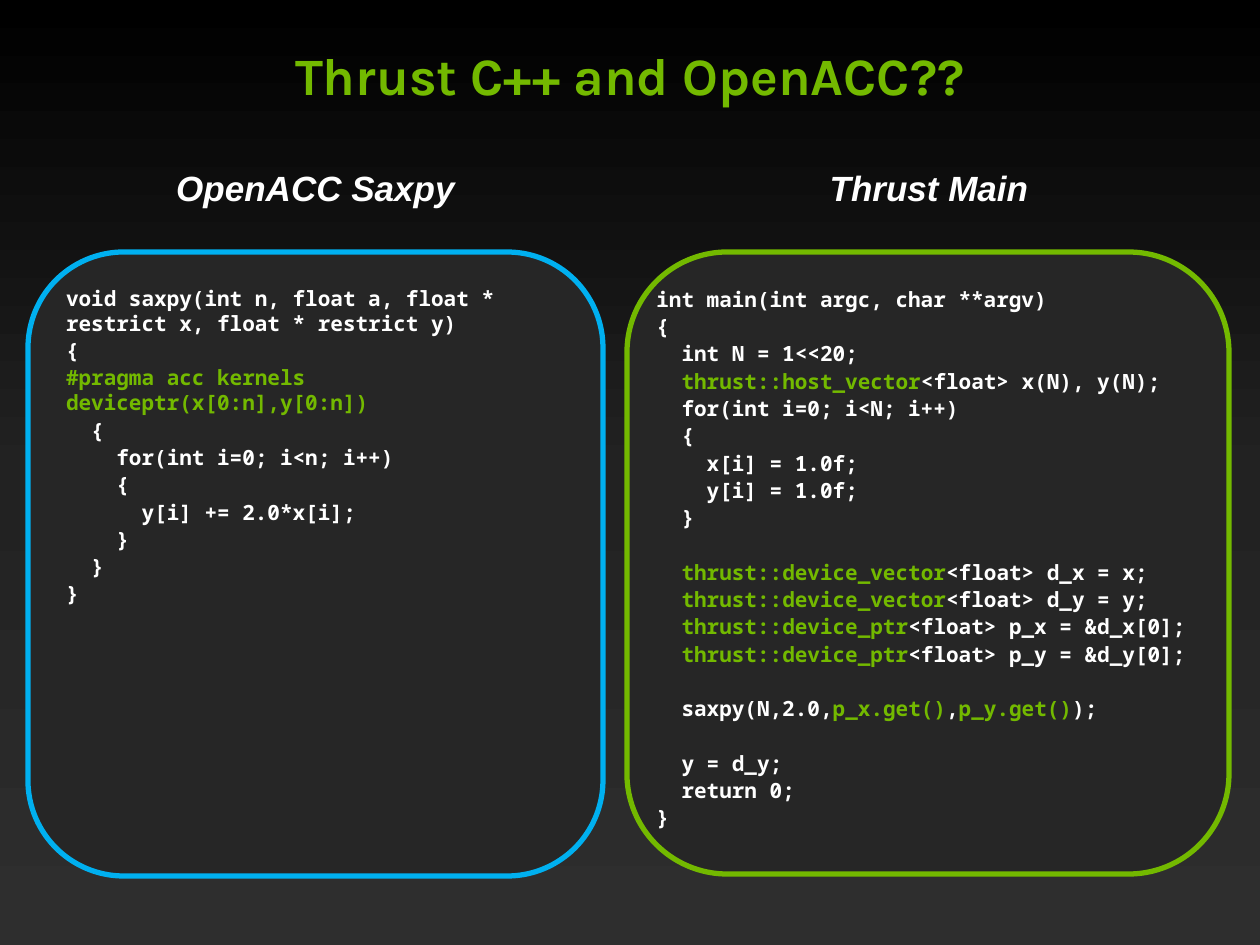
from copy import deepcopy

from pptx import Presentation
from pptx.dml.color import RGBColor
from pptx.enum.shapes import MSO_SHAPE as Shape
from pptx.enum.text import MSO_ANCHOR as Anchor, PP_ALIGN as Align
from pptx.util import Emu, Pt

EMU_PER_PX = 914400 / 126
WHITE, GREEN, BLUE, PANEL = "FFFFFF", "73B900", "00B0F0", "262626"
BACKGROUND = [(0, "000000"), (0.5, "222222"), (1, "2E2E2E")]
LINE_GAP, LINE_HEIGHT = 1.2, 14.4  # points

TITLE_FONT = {"name": "Karla", "size": Pt(30), "bold": True}
HEADING_FONT = {"name": "Arial", "size": Pt(20), "bold": True, "italic": True}
CODE_FONT = {"name": "Noto Sans Mono", "size": Pt(12), "bold": True}

# text, box (left, top, width, height), font, colour
LABELS = [
    ("Thrust C++ and OpenACC??", (0, 38, 1260, 74), TITLE_FONT, GREEN),
    ("OpenACC Saxpy", (155, 161, 321, 53), HEADING_FONT, WHITE),
    ("Thrust Main", (737, 161, 384, 53), HEADING_FONT, WHITE),
]

SAXPY_CODE = """\
void saxpy(int n, float a, float * restrict x, float * restrict y)
{
#pragma acc kernels deviceptr(x[0:n],y[0:n])
  {
    for(int i=0; i<n; i++)
    {
      y[i] += 2.0*x[i];
    }
  }
}"""

MAIN_CODE = """\
int main(int argc, char **argv)
{
  int N = 1<<20;
  thrust::host_vector<float> x(N), y(N);
  for(int i=0; i<N; i++)
  {
    x[i] = 1.0f;
    y[i] = 1.0f;
  }

  thrust::device_vector<float> d_x = x;
  thrust::device_vector<float> d_y = y;
  thrust::device_ptr<float> p_x = &d_x[0];
  thrust::device_ptr<float> p_y = &d_y[0];

  saxpy(N,2.0,p_x.get(),p_y.get());

  y = d_y;
  return 0;
}"""

HIGHLIGHTS = [
    "#pragma acc kernels deviceptr(x[0:n],y[0:n])",
    "thrust::host_vector", "thrust::device_vector", "thrust::device_ptr",
    "p_x.get()", "p_y.get()",
]

# code, box, outline colour, side inset
PANELS = [
    (SAXPY_CODE, (28, 252, 575, 624), BLUE, 10),
    (MAIN_CODE, (627, 252, 602, 622), GREEN, 0),
]


def px(length):
    return Emu(round(length * EMU_PER_PX))


def rgb(color):
    return RGBColor.from_string(color)


def set_insets(frame, side):
    frame.word_wrap = True
    frame.vertical_anchor = Anchor.TOP
    frame.margin_left = frame.margin_right = px(side)
    frame.margin_top = frame.margin_bottom = px(5)


def add_run(paragraph, text, font_format, color):
    run = paragraph.add_run()
    run.text = text
    for name, value in font_format.items():
        setattr(run.font, name, value)
    run.font.color.rgb = rgb(color)


def split_highlights(line):
    """Return (text, colour) pieces, with the highlighted names in green."""
    pieces = [(line, WHITE)]
    for name in HIGHLIGHTS:
        split = []
        for text, color in pieces:
            before, found, after = text.partition(name)
            if color == WHITE and found:
                split += [(before, WHITE), (found, GREEN), (after, WHITE)]
            else:
                split.append((text, color))
        pieces = split
    return [piece for piece in pieces if piece[0]]


def fill_background(slide):
    fill = slide.background.fill
    fill.gradient()
    fill.gradient_angle = 270
    stop_list = slide.element.xpath(".//a:gsLst")[0]
    stop_list.insert(1, deepcopy(stop_list[0]))
    for stop, (position, color) in zip(fill.gradient_stops, BACKGROUND):
        stop.position = position
        stop.color.rgb = rgb(color)


def add_label(slide, text, box, font_format, color):
    frame = slide.shapes.add_textbox(*map(px, box)).text_frame
    set_insets(frame, 10)
    paragraph = frame.paragraphs[0]
    paragraph.alignment = Align.CENTER
    add_run(paragraph, text, font_format, color)


def add_code(frame, code):
    """Write one paragraph per line; an empty line becomes space before the next."""
    paragraph, gap = frame.paragraphs[0], 0
    for line in code.splitlines():
        if not line:
            gap += LINE_HEIGHT + LINE_GAP
            continue
        if paragraph.runs:
            paragraph = frame.add_paragraph()
        paragraph.alignment = Align.LEFT
        paragraph.space_before = Pt(gap)
        for text, color in split_highlights(line):
            add_run(paragraph, text, CODE_FONT, color)
        gap = LINE_GAP


def add_panel(slide, code, box, outline, side):
    panel = slide.shapes.add_shape(Shape.ROUNDED_RECTANGLE, *map(px, box))
    panel.shadow.inherit = False
    panel.fill.solid()
    panel.fill.fore_color.rgb = rgb(PANEL)
    panel.line.color.rgb = rgb(outline)
    panel.line.width = Pt(3)
    set_insets(panel.text_frame, side)
    add_code(panel.text_frame, code)


def main():
    presentation = Presentation()
    presentation.slide_width, presentation.slide_height = px(1260), px(945)
    slide = presentation.slides.add_slide(presentation.slide_layouts[6])
    fill_background(slide)
    for panel in PANELS:
        add_panel(slide, *panel)
    for label in LABELS:
        add_label(slide, *label)
    presentation.save("out.pptx")


if __name__ == "__main__":
    main()
